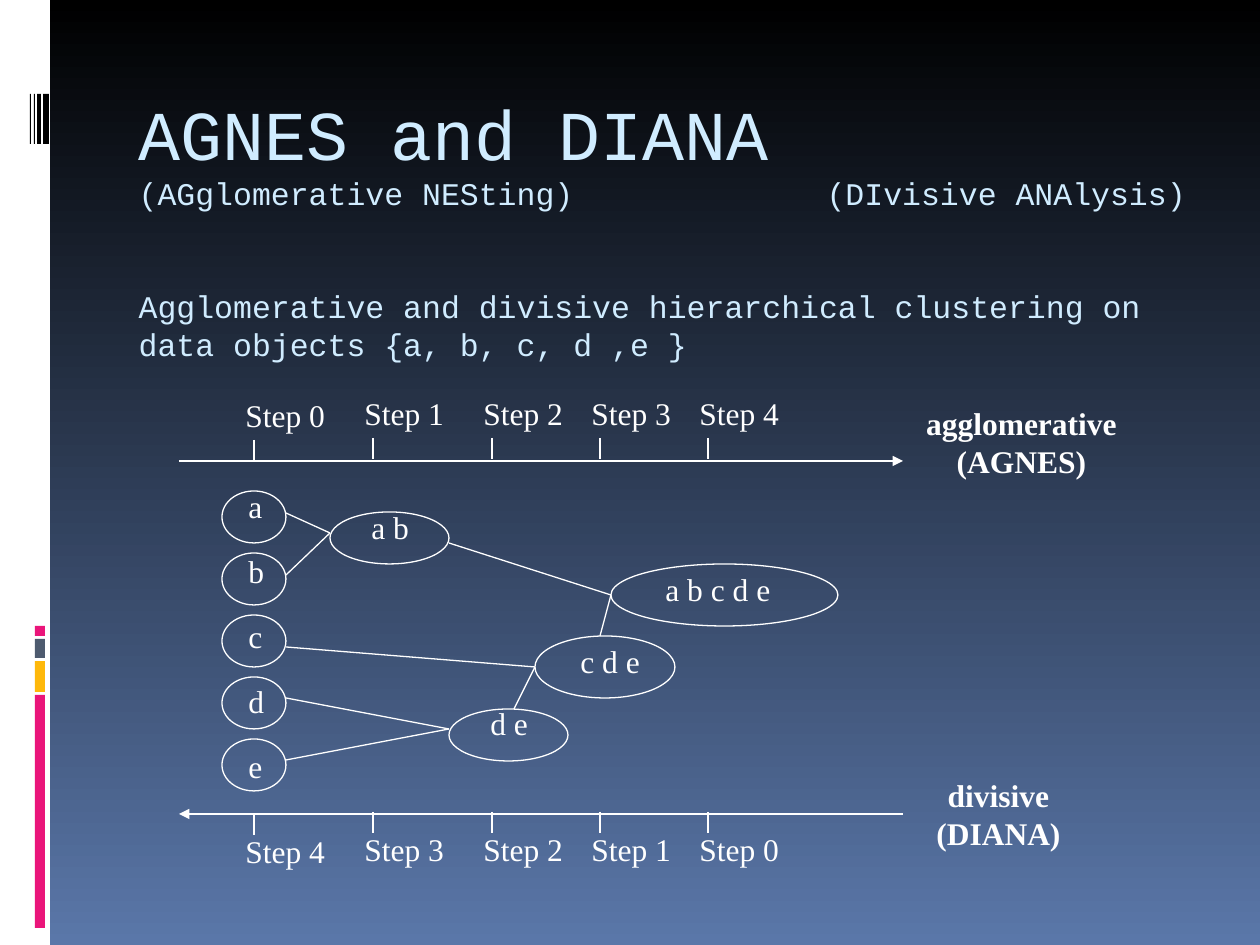
"""Build the AGNES and DIANA hierarchical clustering slide."""
from lxml.etree import SubElement
from pptx import Presentation
from pptx.dml.color import RGBColor
from pptx.enum.shapes import MSO_CONNECTOR, MSO_SHAPE as SHAPE
from pptx.enum.text import MSO_ANCHOR, MSO_AUTO_SIZE, PP_ALIGN as ALIGN
from pptx.oxml.ns import qn
from pptx.util import Pt

SCALE = 914400 / 126
WHITE, PALE = "FFFFFF", "D0ECFF"
SERIF, MONO = "Times New Roman", "Courier New"

BARS = [
    (0, 0, 50, 945, WHITE),
    (35, 695, 10, 233, "EA157A"), (35, 661, 10, 31, "FEB80A"),
    (35, 639, 10, 19, "4E5B6F"), (35, 626, 10, 10, "EA157A"),
    (43, 94, 6, 50, "000000"), (37, 94, 4, 50, "000000"),
    (34, 94, 1, 50, "000000"), (30, 94, 1, 50, "000000"),
]
TITLE = [
    ("AGNES and DIANA", 40, 0),
    ("(AGglomerative NESting)\t(DIvisive ANAlysis)", 18, 0),
    ("Agglomerative and divisive hierarchical clustering on "
     "data objects {a, b, c, d ,e }", 18, 43),
]
TAB = 688
TICKS = [254, 373, 492, 600, 708]
AXIS_X = (179, 903)
AXES = [
    dict(y=461, tick=438, label=388, steps=[0, 1, 2, 3, 4], arrow="tailEnd"),
    dict(y=814, tick=812, label=824, steps=[4, 3, 2, 1, 0], arrow="headEnd"),
]
SINGLES = "abcde"
CLUSTERS = [
    ("a b", (330, 512, 119, 52), (359, 502, 63)),
    ("d e", (449, 709, 119, 52), (478, 698, 63)),
    ("c d e", (535, 636, 140, 62), (568, 636, 84)),
    ("a b c d e", (611, 564, 227, 62), (653, 564, 130)),
]
LINKS = [
    (286, 513, 330, 533), (286, 575, 330, 533),
    (286, 698, 449, 729), (286, 760, 449, 729),
    (286, 647, 535, 667), (514, 709, 535, 667),
    (449, 543, 611, 595), (600, 636, 611, 595),
]
METHODS = [
    (["agglomerative", "(AGNES)"], 914, 398, 215),
    (["divisive", "(DIANA)"], 924, 770, 149),
]


def px(*values):
    return [round(v * SCALE) for v in values]


def rgb(value):
    return RGBColor.from_string(value)


def write(p, text, size=18, font=SERIF, color=WHITE, bold=False, align=ALIGN.LEFT):
    p.alignment = align
    r = p.add_run()
    r.text = text
    r.font.size, r.font.name, r.font.bold = Pt(size), font, bold
    r.font.color.rgb = rgb(color)
    if size == 18:
        p.line_spacing = Pt(21.6)


def add_label(s, lines, x, y, w, wrap=False, **fmt):
    tf = s.shapes.add_textbox(*px(x, y, w, 12 + 38 * len(lines))).text_frame
    tf.word_wrap, tf.auto_size = wrap, MSO_AUTO_SIZE.NONE
    for i, line in enumerate(lines):
        write(tf.add_paragraph() if i else tf.paragraphs[0], line, **fmt)


def add_line(s, x1, y1, x2, y2, width=0.75, arrow=None):
    c = s.shapes.add_connector(MSO_CONNECTOR.STRAIGHT, *px(x1, y1, x2, y2))
    c.line.color.rgb, c.line.width = rgb(WHITE), Pt(width)
    if arrow:
        SubElement(c.line._get_or_add_ln(), qn("a:" + arrow), type="triangle")
    SubElement(c._element.spPr, qn("a:effectLst"))


def add_shape(s, kind, box, fill=None):
    sp = s.shapes.add_shape(kind, *px(*box))
    sp.shadow.inherit = False
    if fill:
        sp.fill.solid()
        sp.fill.fore_color.rgb = rgb(fill)
        sp.line.fill.background()
    else:
        sp.fill.background()
        sp.line.color.rgb, sp.line.width = rgb(WHITE), Pt(0.75)


def set_background(s):
    fill = s.background.fill
    fill.gradient()
    fill.gradient_angle = 270
    for stop, position, color in zip(fill.gradient_stops, (0, 1), ("000000", "5A77A9")):
        stop.position, stop.color.rgb = position, rgb(color)


def fill_title(s):
    title = s.shapes.title
    title.left, title.top, title.width, title.height = px(126, 84, 1080, 280)
    tf = title.text_frame
    tf.word_wrap, tf.auto_size = True, MSO_AUTO_SIZE.NONE
    tf.vertical_anchor = MSO_ANCHOR.TOP
    for i, (text, size, before) in enumerate(TITLE):
        p = tf.add_paragraph() if i else tf.paragraphs[0]
        p.space_before = Pt(before)
        if "\t" in text:
            tabs = SubElement(p._p.get_or_add_pPr(), qn("a:tabLst"))
            SubElement(tabs, qn("a:tab"), pos=str(px(TAB)[0]), algn="l")
        write(p, text, size=size, font=MONO, color=PALE)


def main():
    prs = Presentation()
    prs.slide_width, prs.slide_height = px(1260, 945)
    s = prs.slides.add_slide(prs.slide_layouts[5])
    set_background(s)
    for *box, color in BARS:
        add_shape(s, SHAPE.RECTANGLE, box, color)
    fill_title(s)
    for axis in AXES:
        add_line(s, AXIS_X[0], axis["y"], AXIS_X[1], axis["y"], 1.5, axis["arrow"])
        for i, (x, step) in enumerate(zip(TICKS, axis["steps"])):
            drop = 0 if i else 2
            add_line(s, x, axis["tick"] + drop, x, axis["tick"] + 21 + drop)
            add_label(s, [f"Step {step}"], x - 21, axis["label"] + drop, 108, wrap=True)
    for i, name in enumerate(SINGLES):
        add_label(s, [name], 236, 481 + 65 * i, 40)
        add_shape(s, SHAPE.OVAL, (222, 491 + 62 * i, 64, 52))
    for name, oval, label in CLUSTERS:
        add_label(s, [name], *label)
        add_shape(s, SHAPE.OVAL, oval)
    for link in LINKS:
        add_line(s, *link)
    for lines, *place in METHODS:
        add_label(s, lines, *place, bold=True, align=ALIGN.CENTER)
    prs.save("out.pptx")


if __name__ == "__main__":
    main()
